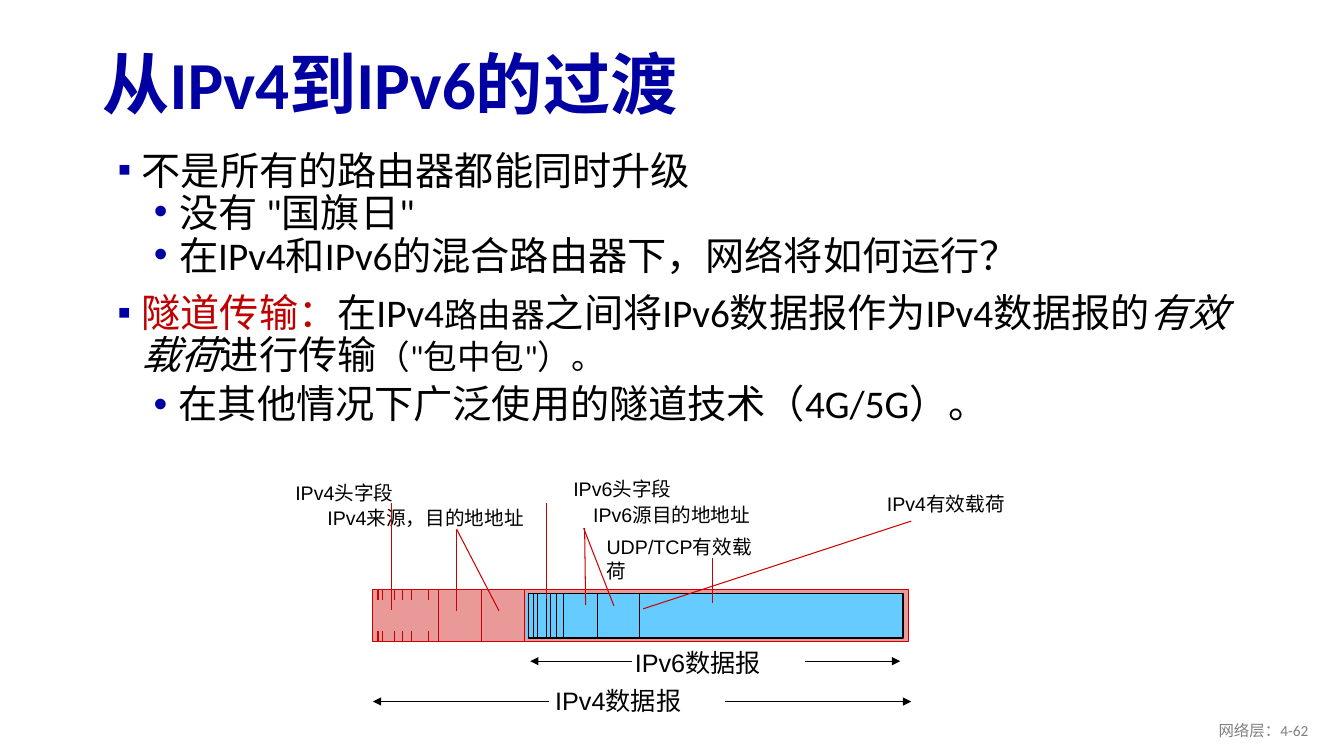
from lxml import etree
from pptx import Presentation
from pptx.dml.color import RGBColor
from pptx.enum.shapes import MSO_CONNECTOR, MSO_SHAPE
from pptx.enum.text import MSO_ANCHOR, MSO_AUTO_SIZE, PP_ALIGN
from pptx.oxml.ns import qn
from pptx.util import Pt

NAVY = RGBColor(0x00, 0x00, 0xA3)
BLACK = RGBColor(0x00, 0x00, 0x00)
DARK_RED = RGBColor(0xC0, 0x00, 0x00)
RED = RGBColor(0xCC, 0x00, 0x00)
SKY = RGBColor(0x66, 0xCC, 0xFF)
GREY = RGBColor(0x80, 0x80, 0x80)
LEFT, CENTER, RIGHT = PP_ALIGN.LEFT, PP_ALIGN.CENTER, PP_ALIGN.RIGHT
MIDDLE, TOP = MSO_ANCHOR.MIDDLE, MSO_ANCHOR.TOP
STRAIGHT, RECT = MSO_CONNECTOR.STRAIGHT, MSO_SHAPE.RECTANGLE
NO_FIT = MSO_AUTO_SIZE.NONE

prs = Presentation()
prs.slide_width, prs.slide_height = Pt(960), Pt(540)
s = prs.slides.add_slide(prs.slide_layouts[1])


def add_line(x1, y1, x2, y2, color, arrow=False):
    c = s.shapes.add_connector(STRAIGHT, Pt(x1), Pt(y1), Pt(x2), Pt(y2))
    c.line.color.rgb = color
    c.line.width = Pt(0.75)
    if arrow:
        etree.SubElement(c.line._get_or_add_ln(), qn("a:tailEnd"), type="triangle")
    etree.SubElement(c._element.spPr, qn("a:effectLst"))


def add_text(p, text, size, color, font="Calibri"):
    r = p.add_run()
    r.text = text
    r.font.name, r.font.size, r.font.color.rgb = font, Pt(size), color
    return r


# Title
title = s.shapes.title
title.left, title.top, title.width, title.height = Pt(66), Pt(27.4), Pt(828), Pt(70.6)
tf = title.text_frame
tf.vertical_anchor, tf.auto_size = MIDDLE, NO_FIT
p = tf.paragraphs[0]
p.alignment, p.line_spacing = LEFT, 0.9
add_text(p, "从IPv4到IPv6的过渡", 48, NAVY).font.bold = True

# Bullet lists: (level, [(text, size, colour, italic)])
upgrade = [
    (0, [("不是所有的路由器都能同时升级", 28, BLACK, False)]),
    (1, [("没有 \"国旗日\"", 28, BLACK, False)]),
    (1, [("在IPv4和IPv6的混合路由器下，网络将如何运行？", 28, BLACK, False)]),
]
tunneling = [
    (0, [("隧道传输：", 28, DARK_RED, False),
         ("在IPv4", 28, BLACK, False),
         ("路由器", 24, BLACK, False),
         ("之间将IPv6数据报作为IPv4数据报的", 28, BLACK, False),
         ("有效载荷", 28, BLACK, True),
         ("进行传输", 28, BLACK, False),
         ("（\"包中包\"）。", 24, BLACK, False)]),
    (1, [("在其他情况下广泛使用的隧道技术（4G/5G）。", 28, BLACK, False)]),
]
body = s.placeholders[1]
body.left, body.top, body.width, body.height = Pt(66), Pt(108.7), Pt(828), Pt(93.6)
tunnel_box = s.shapes.add_textbox(Pt(66), Pt(205.9), Pt(828), Pt(110.2))
BULLETS = [("▪", 28.1, -17.3), ("•", 54.7, -18)]
for sp, items, spacing in [(body, upgrade, 0.75), (tunnel_box, tunneling, 0.9)]:
    tf = sp.text_frame
    tf.word_wrap, tf.auto_size, tf.vertical_anchor = True, NO_FIT, TOP
    for i, (level, runs) in enumerate(items):
        p = tf.add_paragraph() if i else tf.paragraphs[0]
        p.level, p.line_spacing = level, spacing
        p.space_before = Pt(5 if i else 0)
        char, margin, indent = BULLETS[level]
        pPr = p._p.get_or_add_pPr()
        pPr.set("marL", str(Pt(margin)))
        pPr.set("indent", str(Pt(indent)))
        clr = etree.SubElement(pPr, qn("a:buClr"))
        etree.SubElement(clr, qn("a:srgbClr"), val=str(NAVY))
        etree.SubElement(pPr, qn("a:buFont"), typeface="Arial")
        etree.SubElement(pPr, qn("a:buChar"), char=char)
        for text, size, color, italic in runs:
            add_text(p, text, size, color).font.italic = italic

# Datagram bars: left, top, width, height, fill, line, line width
bars = [
    (266.4, 421.2, 382.3, 36.7, RED, RED, 0.75),
    (375.8, 424.1, 269.3, 31.7, SKY, None, 0),
    (377.3, 424.1, 267.8, 31.7, SKY, BLACK, 1),
]
for x, y, w, h, fill, line, weight in bars:
    sp = s.shapes.add_shape(RECT, Pt(x), Pt(y), Pt(w), Pt(h))
    sp.shadow.inherit = False
    sp.fill.solid()
    sp.fill.fore_color.rgb = fill
    if line is None:
        sp.line.fill.background()
    else:
        sp.line.color.rgb, sp.line.width = line, Pt(weight)
    if fill == RED:
        clr = sp._element.spPr.find(qn("a:solidFill")).find(qn("a:srgbClr"))
        etree.SubElement(clr, qn("a:alpha"), val="40000")

# Header field dividers
for x in (313.2, 344.2, 374.4):
    add_line(x, 421.2, x, 457.9, RED)
for x in (270, 272.9, 281.5, 287.3, 293.8, 306):
    for y in (421.2, 450.7):
        add_line(x, y, x, y + 7.2, RED)
for x in (380.9, 383.8, 390.2, 393.1, 397.4, 402.5, 427, 456.5):
    add_line(x, 424.1, x, 455.8, BLACK)

# Labels: text, left, top, width, height, size, alignment, line spacing
labels = [
    ("IPv4来源，目的地地址", 226.8, 357.8, 164, 23.8, 14, LEFT, 1),
    ("IPv4头字段", 203.8, 339.8, 130.3, 23.8, 14, LEFT, 1),
    ("IPv4有效载荷", 626.4, 347.8, 99.4, 23.8, 14, LEFT, 1),
    ("UDP/TCP有效载荷", 426.2, 378.7, 128.9, 23.8, 14, LEFT, 1),
    ("IPv6源目的地地址", 404.6, 358.6, 150.5, 21.6, 14, CENTER, 0.85),
    ("IPv6头字段", 381.6, 339.8, 126, 21.6, 14, CENTER, 0.85),
    ("IPv4数据报", 389.5, 486, 131.8, 28.8, 18, LEFT, 1),
    ("IPv6数据报", 446.4, 458.6, 131.8, 28.8, 18, LEFT, 1),
]
for text, x, y, w, h, size, align, spacing in labels:
    tf = s.shapes.add_textbox(Pt(x), Pt(y), Pt(w), Pt(h)).text_frame
    tf.word_wrap = True
    p = tf.paragraphs[0]
    p.alignment, p.line_spacing = align, spacing
    add_text(p, text, size, BLACK, "Arial")

# Leader lines from labels to fields
leaders = [
    (326.2, 378.7, 326.2, 436.3), (326.2, 378, 356.4, 436.3),
    (279.4, 359.3, 279.4, 435.6), (650.9, 372.2, 459.4, 434.9),
    (417.6, 377.3, 418.3, 432), (416.9, 377.3, 438.5, 432.7),
    (390.2, 359.3, 390.2, 427.7), (509, 398.9, 509, 430.6),
]
for ends in leaders:
    add_line(*ends, RED)

# Datagram extent arrows
for start, end, y in [(517.7, 650.9, 501.1), (392.4, 266.4, 501.1),
                      (575.3, 643, 472.3), (451.4, 378.7, 472.3)]:
    add_line(start, y, end, y, BLACK, arrow=True)

# Footer
tf = s.shapes.add_textbox(Pt(725.8), Pt(507.6), Pt(216), Pt(28.8)).text_frame
tf.word_wrap, tf.vertical_anchor = True, MIDDLE
p = tf.paragraphs[0]
p.alignment = RIGHT
add_text(p, "网络层：4-62", 11, GREY)

prs.save("out.pptx")
